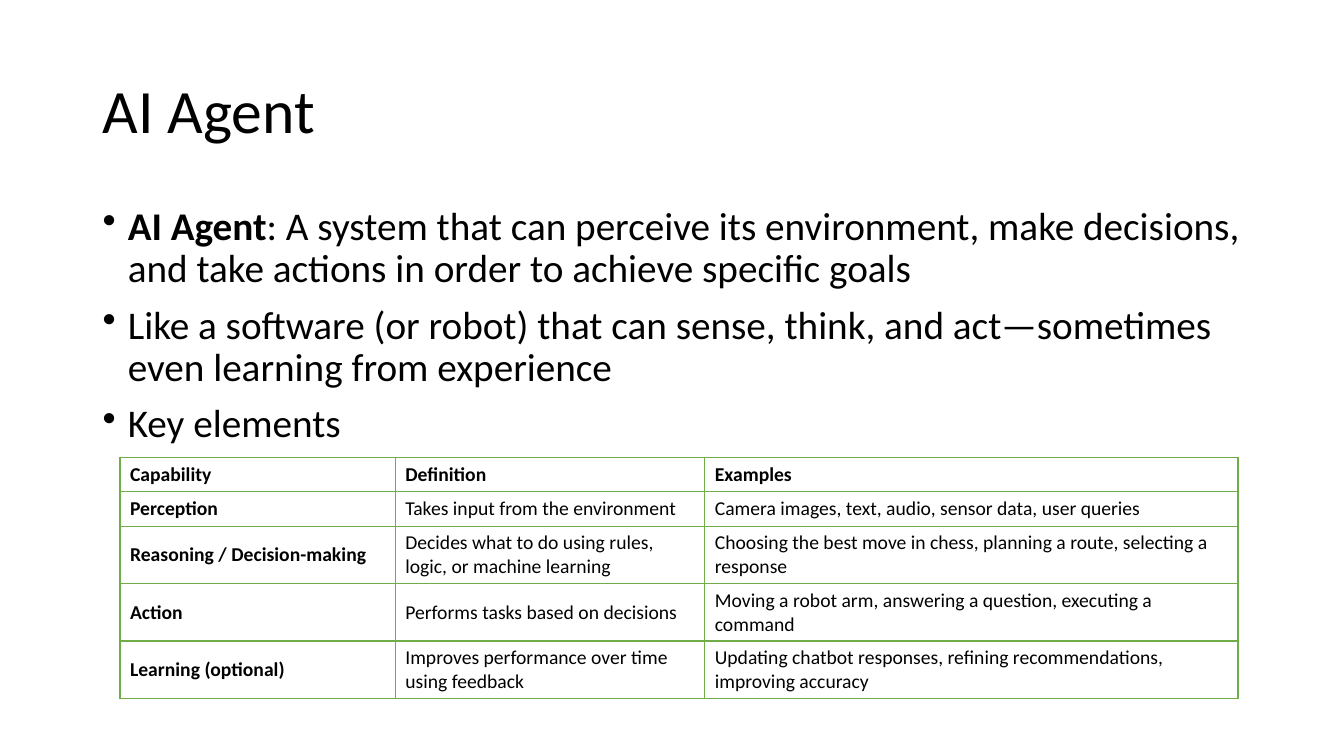
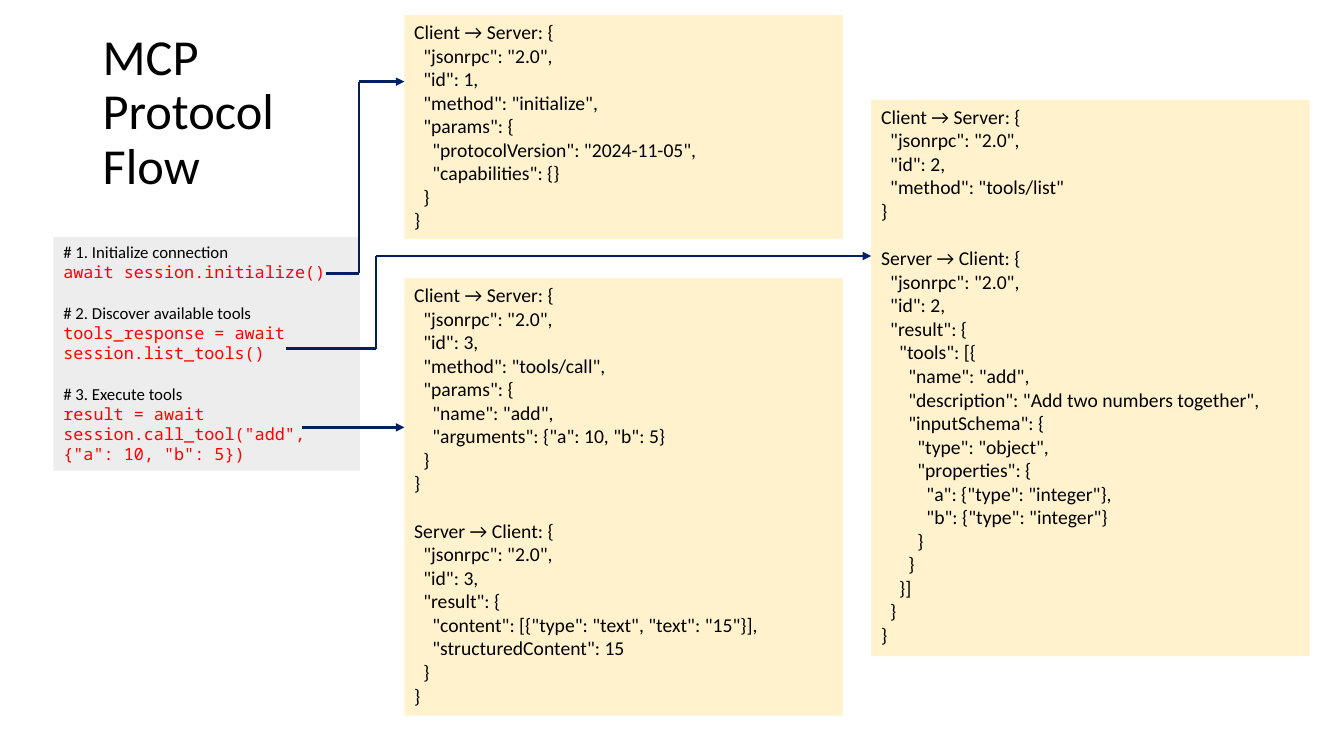
import lxml.etree
import pptx
import pptx.dml.color
import pptx.enum.shapes
import pptx.enum.text
import pptx.oxml.ns
import pptx.util

Color = pptx.dml.color.RGBColor
BLACK = Color(0x00, 0x00, 0x00)
RED = Color(0xFF, 0x00, 0x00)
NAVY = Color(0x00, 0x20, 0x60)
GREEN = Color(0x70, 0xAD, 0x47)
GRAY = Color(0xED, 0xED, 0xED)
CREAM = Color(0xFF, 0xF2, 0xCC)

SANS = "Calibri"
MONO = "Noto Sans Mono"
SCALE = 9144  # EMU in one px, 100 px to the inch
TITLE = (92, 40, 1150, 145)
STEP = 9  # px of indent for each level of braces

BULLETS = [
    [("AI Agent", True),
     (": A system that can perceive its environment, make decisions, "
      "and take actions in order to achieve specific goals", False)],
    [("Like a software (or robot) that can sense, think, and act—sometimes "
      "even learning from experience", False)],
    [("Key elements", False)],
]

WIDTHS = [273, 307, 529]
HEIGHTS = [34, 34, 57, 57, 57]
ROWS = [
    ("Capability", "Definition", "Examples"),
    ("Perception", "Takes input from the environment",
     "Camera images, text, audio, sensor data, user queries"),
    ("Reasoning / Decision-making",
     "Decides what to do using rules, logic, or machine learning",
     "Choosing the best move in chess, planning a route, selecting a response"),
    ("Action", "Performs tasks based on decisions",
     "Moving a robot arm, answering a question, executing a command"),
    ("Learning (optional)", "Improves performance over time using feedback",
     "Updating chatbot responses, refining recommendations, improving accuracy"),
]

STEPS = """# 1. Initialize connection
await session.initialize()
# 2. Discover available tools
tools_response = await session.list_tools()
# 3. Execute tools
result = await session.call_tool("add", {"a": 10, "b": 5})"""

START = """Client → Server: {
"jsonrpc": "2.0",
"id": 1,
"method": "initialize",
"params": {
"protocolVersion": "2024-11-05",
"capabilities": {}
}
}"""

LIST = """Client → Server: {
"jsonrpc": "2.0",
"id": 2,
"method": "tools/list"
}
Server → Client: {
"jsonrpc": "2.0",
"id": 2,
"result": {
"tools": [{
"name": "add",
"description": "Add two numbers together",
"inputSchema": {
"type": "object",
"properties": {
"a": {"type": "integer"},
"b": {"type": "integer"}
}
}
}]
}
}"""

CALL = """Client → Server: {
"jsonrpc": "2.0",
"id": 3,
"method": "tools/call",
"params": {
"name": "add",
"arguments": {"a": 10, "b": 5}
}
}
Server → Client: {
"jsonrpc": "2.0",
"id": 3,
"result": {
"content": [{"type": "text", "text": "15"}],
"structuredContent": 15
}
}"""


def emu(px):
    return pptx.util.Emu(px * SCALE)


def add_xml(parent, tag, **attrs):
    return lxml.etree.SubElement(parent, pptx.oxml.ns.qn(tag), attrs)


def add_run(para, text, size, bold=False, color=BLACK, font=SANS):
    run = para.add_run()
    run.text = text
    run.font.size = pptx.util.Pt(size)
    run.font.bold = bold
    run.font.name = font
    run.font.color.rgb = color


def add_box(slide, area, fill=None):
    """Add a wrapping text box and return its text frame."""
    box = slide.shapes.add_textbox(*map(emu, area))
    if fill is not None:
        box.fill.solid()
        box.fill.fore_color.rgb = fill
    box.text_frame.word_wrap = True
    return box.text_frame


def each_para(frame, items):
    """Yield a paragraph of the frame with each item."""
    for i, item in enumerate(items):
        yield frame.add_paragraph() if i else frame.paragraphs[0], item


def indent(para, left, hang=0):
    props = para._p.get_or_add_pPr()
    props.set("marL", str(emu(left)))
    props.set("indent", str(emu(-hang)))
    return props


def add_title(slide, lines, size):
    frame = add_box(slide, TITLE)
    frame.vertical_anchor = pptx.enum.text.MSO_ANCHOR.MIDDLE
    para = frame.paragraphs[0]
    para.line_spacing = 0.9
    for i, line in enumerate(lines):
        if i:
            para.add_line_break()
        add_run(para, line, size)


def add_list(slide, area, items):
    for para, runs in each_para(add_box(slide, area), items):
        para.line_spacing = 0.9
        para.space_before = pptx.util.Pt(10)
        add_xml(indent(para, 25, 25), "a:buChar", char="•")
        for text, bold in runs:
            add_run(para, text, 28, bold)


def add_edges(cell):
    props = cell._tc.get_or_add_tcPr()
    for side in ("L", "R", "T", "B"):
        line = add_xml(props, "a:ln" + side, w=str(pptx.util.Pt(1)))
        add_xml(add_xml(line, "a:solidFill"), "a:srgbClr", val=str(GREEN))


def add_grid(slide, left, top):
    area = (left, top, sum(WIDTHS), sum(HEIGHTS))
    table = slide.shapes.add_table(
        len(ROWS), len(WIDTHS), *map(emu, area)).table
    table.first_row = table.horz_banding = False
    for col, width in zip(table.columns, WIDTHS):
        col.width = emu(width)
    for r, texts in enumerate(ROWS):
        table.rows[r].height = emu(HEIGHTS[r])
        for c, text in enumerate(texts):
            cell = table.cell(r, c)
            add_edges(cell)
            cell.fill.background()
            cell.vertical_anchor = pptx.enum.text.MSO_ANCHOR.MIDDLE
            add_run(cell.text_frame.paragraphs[0], text, 14, r == 0 or c == 0)


def add_steps(slide, area):
    frame = add_box(slide, area, GRAY)
    for para, line in each_para(frame, STEPS.splitlines()):
        if line.startswith("#"):
            if para._p is not frame.paragraphs[0]._p:
                para.space_before = pptx.util.Pt(14.5)
            add_run(para, line, 12)
        else:
            add_run(para, line, 12, color=RED, font=MONO)


def add_json(slide, area, text):
    """Show messages, indenting each line by the depth of its braces."""
    depth = 0
    for para, line in each_para(add_box(slide, area, CREAM), text.splitlines()):
        if line.startswith("}"):
            depth -= 1
        if line.startswith("Server"):
            para.space_before = pptx.util.Pt(17)
        indent(para, depth * STEP)
        add_run(para, line, 14)
        if line.endswith("{"):
            depth += 1


def add_route(slide, *points):
    """Join the points with straight lines, the last one an arrow."""
    for start, end in zip(points, points[1:]):
        link = slide.shapes.add_connector(
            pptx.enum.shapes.MSO_CONNECTOR.STRAIGHT, *map(emu, start + end))
        link.line.color.rgb = NAVY
        link.line.width = pptx.util.Pt(2)
        if end == points[-1]:
            add_xml(link.line._get_or_add_ln(), "a:tailEnd", type="triangle")
        add_xml(link._element.spPr, "a:effectLst")


def agent_slide(slide):
    add_title(slide, ["AI Agent"], 44)
    add_list(slide, (92, 200, 1150, 476), BULLETS)
    add_grid(slide, 119, 454)


def flow_slide(slide):
    add_title(slide, ["MCP", "Protocol", "Flow"], 36)
    add_steps(slide, (53, 235, 304, 232))
    add_json(slide, (401, 15, 435, 222), START)
    add_json(slide, (864, 99, 435, 552), LIST)
    add_json(slide, (401, 276, 435, 434), CALL)
    add_route(slide, (323, 271), (356, 271), (356, 81), (401, 81))
    add_route(slide, (284, 346), (373, 346), (373, 254), (864, 254))
    add_route(slide, (300, 424), (401, 424))


def main():
    deck = pptx.Presentation()
    deck.slide_width, deck.slide_height = emu(1333), emu(750)
    blank = deck.slide_layouts[6]
    for build in (agent_slide, flow_slide):
        build(deck.slides.add_slide(blank))
    deck.save("out.pptx")


if __name__ == "__main__":
    main()
